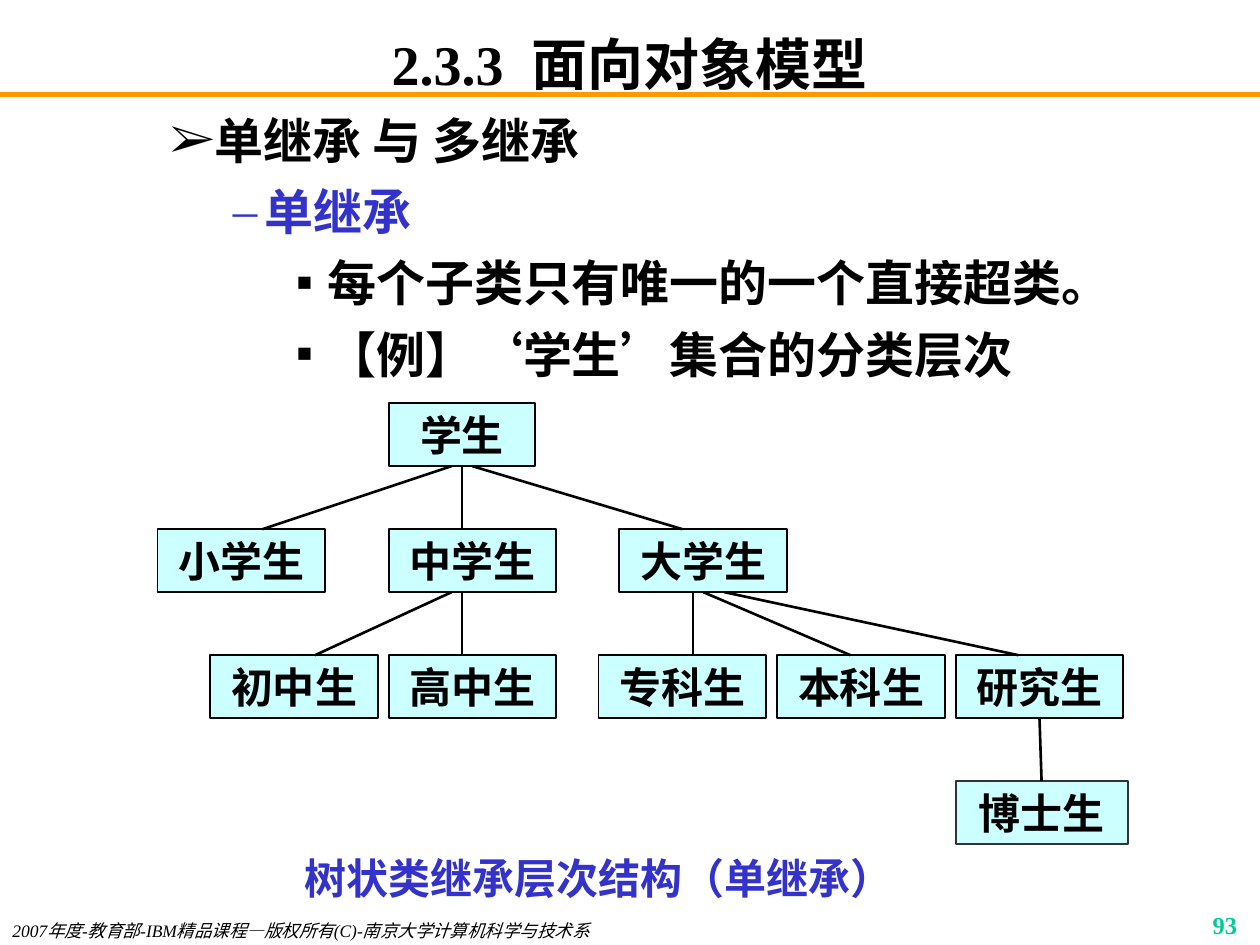
from dataclasses import dataclass

from pptx import Presentation
from pptx import util as u
from pptx.dml.color import RGBColor
from pptx.enum import shapes, text
from pptx.oxml.ns import qn
from lxml import etree


@dataclass(frozen=True)
class Theme:
    black: str = "000000"
    blue: str = "3333CC"
    orange: str = "FF9900"
    green: str = "00CC99"
    cyan: str = "CCFFFF"
    grey: str = "333333"
    latin: str = "Times New Roman"
    chinese: str = "Noto Sans CJK SC"
    title: int = 32
    body: int = 28
    box: int = 24
    page: int = 14
    footer: int = 10


theme = Theme()
presentation = Presentation()
presentation.slide_width, presentation.slide_height = u.Inches(10), u.Inches(7.5)
slide = presentation.slides.add_slide(presentation.slide_layouts[6])
column = presentation.slide_width / 120
row = presentation.slide_height / 15


def style(paragraph, size, color, name=theme.chinese, bold=True, italic=False,
          align=text.PP_ALIGN.LEFT):
    paragraph.alignment = align
    font = paragraph.font
    font.size, font.name, font.bold, font.italic = u.Pt(size), name, bold, italic
    font.color.rgb = RGBColor.from_string(color)
    latin = paragraph._p.pPr.find(f".//{qn('a:latin')}")
    east_asian = etree.Element(qn("a:ea"), typeface=theme.chinese)
    latin.addnext(east_asian)


def add_line(x1, y1, x2, y2, color, width):
    """Draw a straight line between two grid points."""
    line = slide.shapes.add_connector(
        shapes.MSO_CONNECTOR.STRAIGHT, round(x1 * column), round(y1 * row),
        round(x2 * column), round(y2 * row))
    line.line.color.rgb = RGBColor.from_string(color)
    line.line.width = u.Pt(width)
    etree.SubElement(line._element.spPr, qn("a:effectLst"))
    return line


add_line(0, 1.5, 120, 1.5, theme.orange, 3)

# Single-paragraph texts: left, top, width, height on the grid, then insets and style
center, right = text.PP_ALIGN.CENTER, text.PP_ALIGN.RIGHT
labels = [
    (["2.3.3", " ", "面向对象模型"], (9, 0.5, 102, 1), (0.1, 0),
     dict(size=theme.title, color=theme.black, name=theme.latin, align=center)),
    (["2007年度-教育部-IBM精品课程—版权所有(C)-南京大学计算机科学与技术系"],
     (0, 14.5, 66, 0.5), (0.1, 0.05),
     dict(size=theme.footer, color=theme.black, name=theme.latin, bold=False, italic=True)),
    (["93"], (94, 14.34, 25, 0.5), (0.1, 0.05),
     dict(size=theme.page, color=theme.green, name=theme.latin, align=right)),
    (["树状类继承层次结构（单继承）"], (21, 13.54, 72, 0.8), (0, 0),
     dict(size=theme.box, color=theme.blue, align=center)),
]
for words, (left, top, width, height), (inset_x, inset_y), look in labels:
    box = slide.shapes.add_textbox(round(left * column), round(top * row),
                                   round(width * column), round(height * row))
    frame = box.text_frame
    frame.word_wrap = True
    frame.margin_left = frame.margin_right = u.Inches(inset_x)
    frame.margin_top = frame.margin_bottom = u.Inches(inset_y)
    if look["size"] == theme.title:
        frame.vertical_anchor = text.MSO_ANCHOR.MIDDLE
    paragraph = frame.paragraphs[0]
    style(paragraph, **look)
    for word in words:
        run = paragraph.add_run()
        run.text = word
        if word == " ":  # widen the gap after the section number
            run._r.get_or_add_rPr().set("spc", "800")

# Outline: level, bullet, text indent, hanging indent, colour, runs
outline = [
    (0, "➢", 0.81, 0.31, theme.black, ["单继承 与 多继承"]),
    (1, "–", 1.25, 0.25, theme.blue, ["单继承"]),
    (2, "▪", 1.75, 0.25, theme.black, ["每个子类只有唯一的一个直接超类。"]),
    (2, "▪", 1.75, 0.25, theme.black, ["【例】", "‘", "学生", "’", "集合的分类层次"]),
]
body = slide.shapes.add_textbox(round(9 * column), round(1.66 * row),
                                round(102 * column), round(12.16 * row))
frame = body.text_frame
frame.word_wrap = True
for index, (level, bullet, indent, hanging, color, words) in enumerate(outline):
    paragraph = frame.add_paragraph() if index else frame.paragraphs[0]
    paragraph.level = level
    if index:
        paragraph.space_before = u.Pt(7)
    properties = paragraph._p.get_or_add_pPr()
    properties.set("marL", str(u.Inches(indent)))
    properties.set("indent", str(-u.Inches(hanging)))
    bullet_color = etree.SubElement(properties, qn("a:buClr"))
    etree.SubElement(bullet_color, qn("a:srgbClr"), val=color)
    etree.SubElement(properties, qn("a:buFont"), typeface=theme.latin)
    etree.SubElement(properties, qn("a:buChar"), char=bullet)
    style(paragraph, theme.body, color)
    for word in words:
        run = paragraph.add_run()
        run.text = word
        if word in "‘’":
            run.font.name = theme.latin

# Class tree: name -> left column, tier, width in columns
classes = {
    "学生": (37, 0, 14),
    "小学生": (15, 1, 16), "中学生": (37, 1, 16), "大学生": (59, 1, 16),
    "初中生": (20, 2, 16), "高中生": (37, 2, 16), "专科生": (57, 2, 16),
    "本科生": (74, 2, 16), "研究生": (91, 2, 16),
    "博士生": (91, 3, 16.4),
}
tree_top, tier_step = 6.4, 2
boxes = {}
for name, (left, tier, width) in classes.items():
    box = slide.shapes.add_shape(
        shapes.MSO_SHAPE.RECTANGLE, round(left * column),
        round((tree_top + tier * tier_step) * row), round(width * column), round(row))
    box.shadow.inherit = False
    box.fill.solid()
    box.fill.fore_color.rgb = RGBColor.from_string(theme.cyan)
    box.line.color.rgb = RGBColor.from_string(theme.grey if tier == 3 else theme.black)
    box.line.width = u.Pt(1.13)
    box.text_frame.vertical_anchor = text.MSO_ANCHOR.TOP
    paragraph = box.text_frame.paragraphs[0]
    style(paragraph, theme.box, theme.black, align=center)
    paragraph.add_run().text = name
    boxes[name] = box

# Inheritance: superclass, subclass, and the columns where the line leaves and lands
inheritance = [
    ("学生", "小学生", 43, 25), ("学生", "中学生", 44, 44), ("学生", "大学生", 45, 65),
    ("中学生", "高中生", 44, 44), ("中学生", "初中生", 43, 30),
    ("大学生", "专科生", 66, 66), ("大学生", "本科生", 67, 81), ("大学生", "研究生", 69, 97),
    ("研究生", "博士生", 99, 99),
]
for parent, child, start, end in inheritance:
    parent_left, tier, parent_width = classes[parent]
    child_left, _, child_width = classes[child]
    bottom = tree_top + tier * tier_step + 1
    line = add_line(start, bottom, end, bottom + 1, theme.black, 1.5)
    if start == parent_left + parent_width / 2:
        line.begin_connect(boxes[parent], 2)
    if abs(end - child_left - child_width / 2) < 0.5:
        line.end_connect(boxes[child], 0)

presentation.save("out.pptx")
